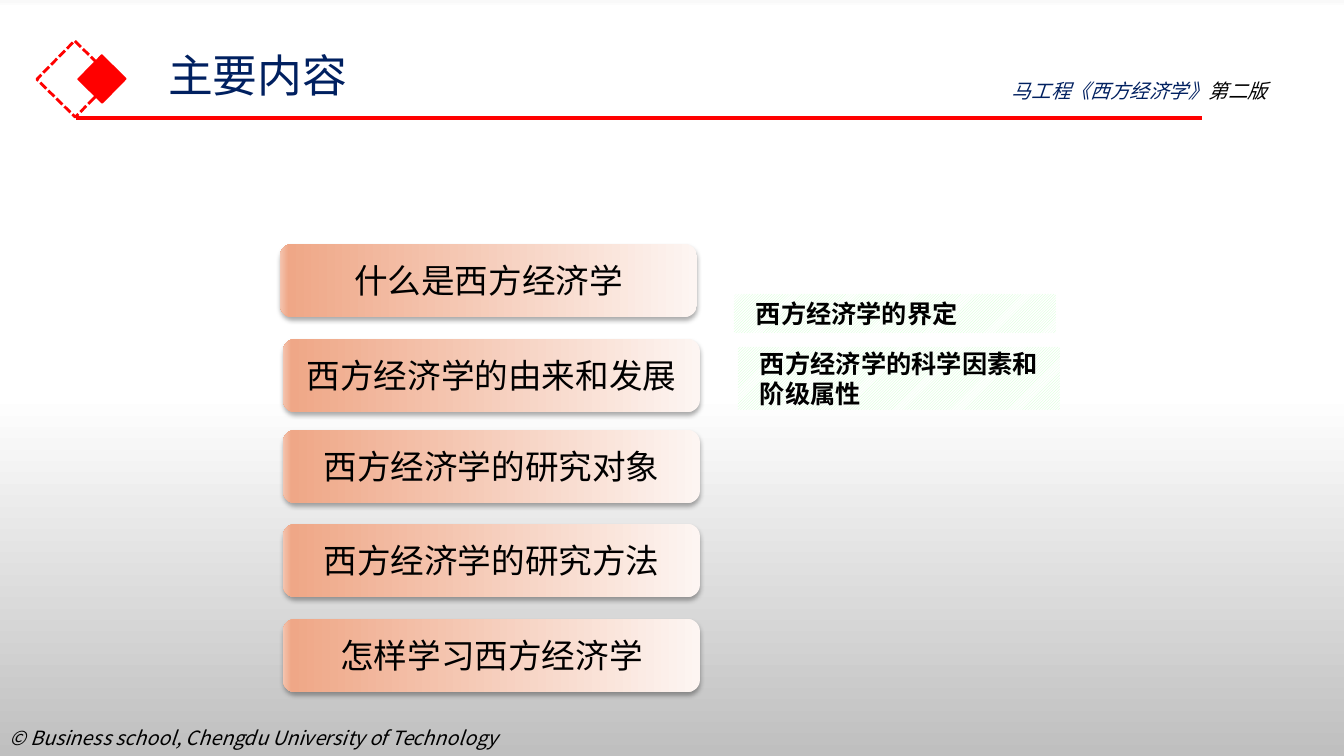
import dataclasses
import typing

import lxml.etree
import pptx
import pptx.dml.color
import pptx.enum.dml
import pptx.enum.shapes
import pptx.enum.text
import pptx.oxml.ns
import pptx.util

Stops = tuple[tuple[int, str], ...]
qn = pptx.oxml.ns.qn
SHAPE = pptx.enum.shapes.MSO_SHAPE
ALIGN = pptx.enum.text.PP_ALIGN
ANCHOR = pptx.enum.text.MSO_ANCHOR
EMU_PER_PX = 914400 / 100.8


@dataclasses.dataclass(frozen=True)
class Theme:
    red: str = "FF0000"
    navy: str = "002060"
    black: str = "000000"
    white: str = "FFFFFF"
    mint: str = "CCFFCC"
    cjk: str = "Noto Sans CJK SC"
    latin: str = "Calibri"
    title_pt: int = 32
    topic_pt: int = 24
    note_pt: int = 18
    small_pt: int = 14
    backdrop: Stops = ((0, "F9F9F9"), (1, "FFFFFF"), (52, "FFFFFF"), (100, "BFBFBF"))
    topic: Stops = ((0, "FDF5F2"), (98, "EFA787"), (100, "F4C4AF"))


THEME = Theme()


@dataclasses.dataclass(frozen=True)
class Box:
    left: int
    top: int
    width: int
    height: int


@dataclasses.dataclass(frozen=True)
class Label:
    text: str
    box: Box


@dataclasses.dataclass(frozen=True)
class Diamond:
    box: Box
    line_pt: float
    solid: bool


TOPIC_W, TOPIC_H = 417, 73
TOPICS = [
    Label(text, Box(left, top, TOPIC_W, TOPIC_H))
    for text, left, top in (
        ("什么是西方经济学", 280, 244),
        ("西方经济学的由来和发展", 283, 339),
        ("西方经济学的研究对象", 283, 430),
        ("西方经济学的研究方法", 283, 524),
        ("怎样学习西方经济学", 283, 619),
    )
]
NOTES = [
    Label("西方经济学的界定", Box(734, 294, 322, 39)),
    Label("西方经济学的科学因素和阶级属性", Box(738, 347, 322, 63)),
]
DIAMONDS = [
    Diamond(Box(48, 52, 54, 54), 2, False),
    Diamond(Box(85, 62, 34, 34), 1, True),
]


def px(n: int) -> int:
    return round(n * EMU_PER_PX)


def rgb(value: str) -> pptx.dml.color.RGBColor:
    return pptx.dml.color.RGBColor.from_string(value)


def place(box: Box) -> list[int]:
    return [px(n) for n in dataclasses.astuple(box)]


def apply(target: typing.Any, values: dict[str, typing.Any]) -> None:
    for name, value in values.items():
        setattr(target, name, value)


def add_run(p: typing.Any, text: str, color: str, size: int, font: str = THEME.cjk,
            **values: typing.Any) -> None:
    r = p.add_run()
    r.text = text
    apply(r.font, {"name": font, "size": pptx.util.Pt(size), **values})
    r.font.color.rgb = rgb(color)
    ea = lxml.etree.SubElement(r.font._element, qn("a:ea"))
    ea.set("typeface", font)


def set_gradient(fill: typing.Any, element: typing.Any, stops: Stops, angle: int) -> None:
    fill.gradient()
    fill.gradient_angle = angle
    gs_list = next(element.iter(qn("a:gsLst")))
    for gs in list(gs_list):
        gs_list.remove(gs)
    for position, color in stops:
        gs = lxml.etree.SubElement(gs_list, qn("a:gs"), pos=str(position * 1000))
        lxml.etree.SubElement(gs, qn("a:srgbClr"), val=color)


def add_shape(s: typing.Any, kind: SHAPE, box: Box) -> typing.Any:
    sp = s.shapes.add_shape(kind, *place(box))
    sp.shadow.inherit = False
    sp.line.fill.background()
    return sp


def add_text(s: typing.Any, box: Box) -> typing.Any:
    tf = s.shapes.add_textbox(*place(box)).text_frame
    tf.word_wrap = True
    return tf.paragraphs[0]


def add_diamond(s: typing.Any, diamond: Diamond) -> None:
    sp = add_shape(s, SHAPE.RECTANGLE, diamond.box)
    sp.rotation = 314.5
    sp.line.color.rgb = rgb(THEME.red)
    sp.line.width = pptx.util.Pt(diamond.line_pt)
    if diamond.solid:
        sp.fill.solid()
        sp.fill.fore_color.rgb = rgb(THEME.red)
    else:
        sp.fill.background()
        sp.line.dash_style = pptx.enum.dml.MSO_LINE.SQUARE_DOT


def add_topic(s: typing.Any, label: Label) -> None:
    sp = add_shape(s, SHAPE.ROUNDED_RECTANGLE, label.box)
    set_gradient(sp.fill, sp._element, THEME.topic, 180)
    effects = next(sp._element.iter(qn("a:effectLst")))
    shadow = lxml.etree.SubElement(
        effects, qn("a:outerShdw"), blurRad=str(pptx.util.Pt(3.5)),
        dist=str(pptx.util.Pt(2.2)), dir="5400000", rotWithShape="0")
    color = lxml.etree.SubElement(shadow, qn("a:srgbClr"), val=THEME.black)
    lxml.etree.SubElement(color, qn("a:alpha"), val="32000")
    tf = sp.text_frame
    apply(tf, {"word_wrap": True, "vertical_anchor": ANCHOR.MIDDLE})
    p = tf.paragraphs[0]
    p.alignment = ALIGN.CENTER
    add_run(p, label.text, THEME.black, THEME.topic_pt)


def add_note(s: typing.Any, label: Label) -> None:
    sp = add_shape(s, SHAPE.RECTANGLE, label.box)
    sp.fill.patterned()
    sp.fill.pattern = pptx.enum.dml.MSO_PATTERN.LIGHT_UPWARD_DIAGONAL
    sp.fill.fore_color.rgb = rgb(THEME.mint)
    sp.fill.back_color.rgb = rgb(THEME.white)
    tf = sp.text_frame
    apply(tf, {"word_wrap": True, "vertical_anchor": ANCHOR.MIDDLE,
               "margin_left": px(22), "margin_right": px(22),
               "margin_top": px(5), "margin_bottom": px(5)})
    p = tf.paragraphs[0]
    p.alignment = ALIGN.JUSTIFY
    add_run(p, label.text, THEME.black, THEME.note_pt, THEME.latin, bold=True)


def add_header(s: typing.Any) -> None:
    for diamond in DIAMONDS:
        add_diamond(s, diamond)
    rule = s.shapes.add_connector(
        pptx.enum.shapes.MSO_CONNECTOR.STRAIGHT, px(76), px(118), px(1202), px(118))
    rule.line.color.rgb = rgb(THEME.red)
    rule.line.width = pptx.util.Pt(2.25)
    lxml.etree.SubElement(rule._element.spPr, qn("a:effectLst"))

    title = s.shapes.title
    apply(title, dict(zip(("left", "top", "width", "height"), place(Box(158, 43, 500, 65)))))
    tf = title.text_frame
    apply(tf, {"word_wrap": True, "vertical_anchor": ANCHOR.TOP,
               "auto_size": pptx.enum.text.MSO_AUTO_SIZE.NONE})
    p = tf.paragraphs[0]
    p.alignment = ALIGN.LEFT
    add_run(p, "主要内容", THEME.navy, THEME.title_pt)

    p = add_text(s, Box(1002, 74, 327, 34))
    add_run(p, "马工程《西方经济学》", THEME.navy, THEME.small_pt, italic=True)
    add_run(p, "第二版", THEME.black, THEME.small_pt, italic=True)


def main() -> None:
    prs = pptx.Presentation()
    apply(prs, {"slide_width": px(1344), "slide_height": px(756)})
    s = prs.slides.add_slide(prs.slide_layouts.get_by_name("Title Only"))
    set_gradient(s.background.fill, s._element, THEME.backdrop, 270)
    add_header(s)
    for topic in TOPICS:
        add_topic(s, topic)
    for note in NOTES:
        add_note(s, note)
    add_run(add_text(s, Box(0, 721, 639, 35)),
            "© Business school, Chengdu University of Technology",
            THEME.black, THEME.small_pt, italic=True)
    prs.save("out.pptx")


if __name__ == "__main__":
    main()
